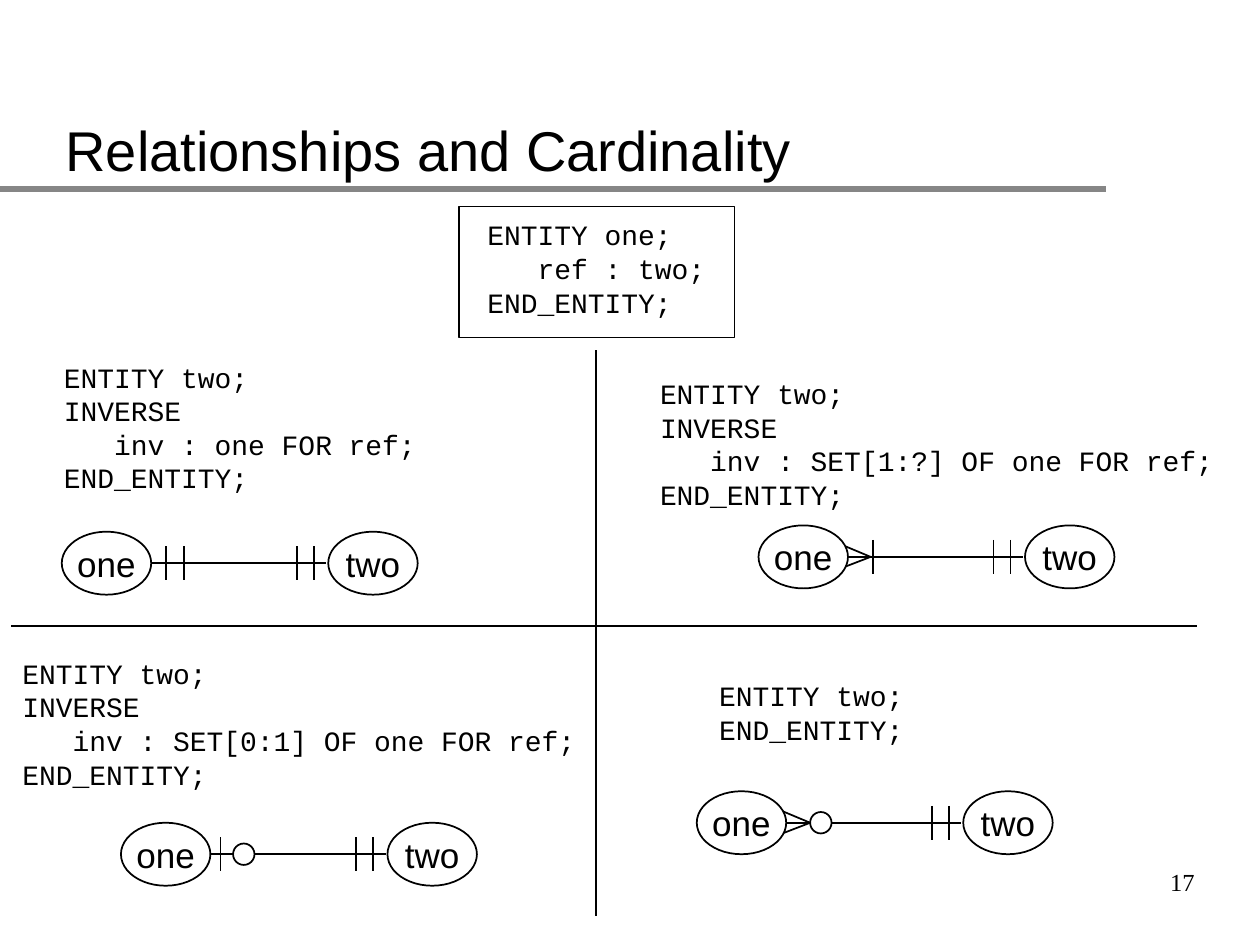
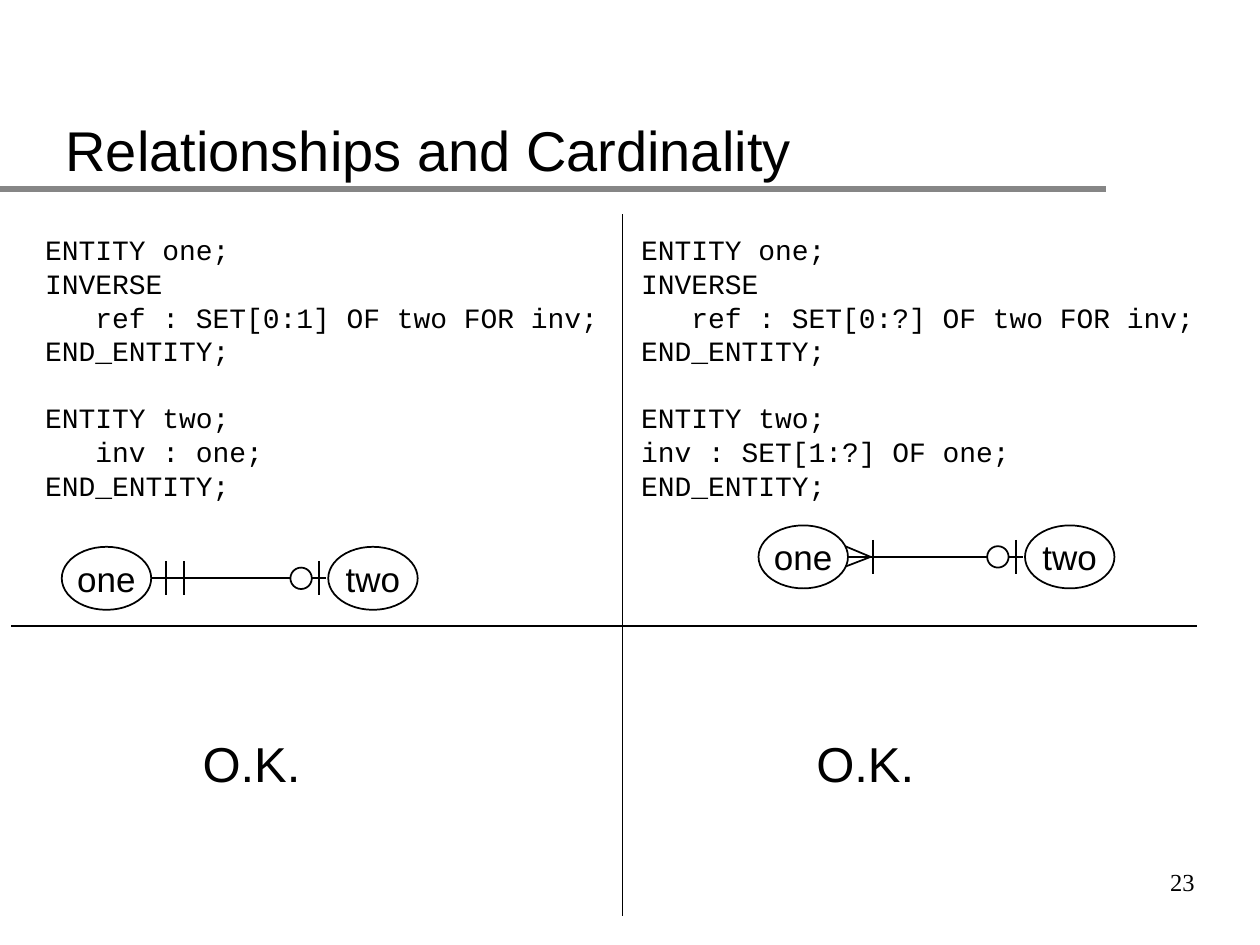
import dataclasses

import lxml.etree
import pptx
import pptx.dml.color
import pptx.enum.shapes
import pptx.enum.text
import pptx.oxml.ns
import pptx.util

Shapes = pptx.enum.shapes.MSO_SHAPE
Align = pptx.enum.text.PP_ALIGN
Anchor = pptx.enum.text.MSO_ANCHOR


@dataclasses.dataclass(frozen=True)
class Theme:
    ink: str = "000000"
    paper: str = "FFFFFF"
    band: str = "868686"
    sans: str = "Arial"
    mono: str = "Courier New"
    serif: str = "Times New Roman"
    title_size: int = 32
    verdict_size: int = 28
    oval_size: int = 20
    code_size: int = 16
    number_size: int = 14
    line_width: int = 1
    band_width: int = 4


# Grid of 100 columns by 75 rows; each cell is a tenth of an inch
COLUMNS, ROWS = 100, 75
CODE_CHARACTER = 1.33
CODE_ROW = 2.67
INSET_X, INSET_Y = 1, 0.5

# Relationship diagram, in grid cells
OVAL_WIDTH, OVAL_HEIGHT = 7.1, 5
OVAL_STEP = 21.15
RING = 1.7
BAR = 2.7

# Cardinality marks: distances outward from the oval's edge
ONE_END = {
    "exactly one": {"bars": [1.2, 2.6]},
    "zero or one": {"bars": [0.8], "ring": 2.65},
    "one or more": {"bars": [2], "foot": 1.8},
    "zero or more": {"ring": 2.75, "foot": 1.9},
}
TWO_END = {
    "exactly one": {"bars": [1.15, 2.5]},
    "zero or one": {"bars": [0.7], "ring": 2.15},
}


class Page:
    """The current slide, its theme and its drawing methods."""

    def __init__(self, deck, theme, title, number):
        self.theme = theme
        self.column = deck.slide_width / COLUMNS
        self.row = deck.slide_height / ROWS
        self.slide = deck.slides.add_slide(deck.slide_layouts[5])
        self.line((0, 15), (87.8, 15), theme.band, theme.band_width)
        self.title(title)
        self.text(number, (75, 67.5, 20.8, 5), theme.serif, theme.number_size,
                  align=Align.RIGHT, anchor=Anchor.MIDDLE)

    def place(self, left, top, width, height):
        return (round(left * self.column), round(top * self.row),
                round(width * self.column), round(height * self.row))

    def style(self, frame, font, size, align=Align.LEFT, anchor=Anchor.TOP, wrap=True):
        frame.word_wrap = wrap
        frame.vertical_anchor = anchor
        for para in frame.paragraphs:
            para.alignment = align
            for span in para.runs:
                span.font.name = font
                span.font.size = pptx.util.Pt(size)
                span.font.color.rgb = self.color(self.theme.ink)

    def color(self, value):
        return pptx.dml.color.RGBColor.from_string(value)

    def title(self, words):
        box = self.slide.shapes.title
        box.left, box.top, box.width, box.height = self.place(4.2, 2.9, 85, 12.1)
        box.text_frame.text = words
        box.text_frame.auto_size = pptx.enum.text.MSO_AUTO_SIZE.NONE
        self.style(box.text_frame, self.theme.sans, self.theme.title_size,
                   anchor=Anchor.BOTTOM)

    def text(self, words, area, font, size, **options):
        box = self.slide.shapes.add_textbox(*self.place(*area))
        box.text_frame.text = words
        self.style(box.text_frame, font, size, **options)
        return box

    def code(self, left, top, *entities):
        """Code lines, with one line's gap between entities."""
        lines = [line for entity in entities for line in entity]
        rows = len(lines) + len(entities) - 1
        area = (left, top,
                max(map(len, lines)) * CODE_CHARACTER + 2 * INSET_X,
                rows * CODE_ROW + 2 * INSET_Y)
        box = self.text("\n".join(lines), area, self.theme.mono,
                        self.theme.code_size, wrap=False)
        first = 0
        for entity in entities[:-1]:
            first += len(entity)
            gap = pptx.util.Pt(1.2 * self.theme.code_size)
            box.text_frame.paragraphs[first].space_before = gap

    def line(self, start, end, color=None, width=None):
        connector = self.slide.shapes.add_connector(
            pptx.enum.shapes.MSO_CONNECTOR.STRAIGHT,
            *self.place(*start, *end))
        connector.line.color.rgb = self.color(color or self.theme.ink)
        connector.line.width = pptx.util.Pt(width or self.theme.line_width)
        properties = connector.element.spPr
        lxml.etree.SubElement(properties, pptx.oxml.ns.qn("a:effectLst"))

    def shape(self, kind, area, words=""):
        box = self.slide.shapes.add_shape(kind, *self.place(*area))
        box.shadow.inherit = False
        box.fill.solid()
        box.fill.fore_color.rgb = self.color(self.theme.paper)
        box.line.color.rgb = self.color(self.theme.ink)
        box.line.width = pptx.util.Pt(self.theme.line_width)
        if words:
            box.text_frame.text = words
            self.style(box.text_frame, self.theme.sans, self.theme.oval_size,
                       align=Align.CENTER, anchor=Anchor.MIDDLE, wrap=False)

    def marks(self, edge, middle, direction, bars=(), ring=None, foot=None):
        """Crow's foot, ring and bars at one end of a relationship."""
        if foot is not None:
            tip = edge + direction * foot
            self.line((tip, middle), (tip - direction * 3.1, middle - 1.3))
            self.line((tip, middle), (tip - direction * 2.6, middle + 1))
        if ring is not None:
            center = edge + direction * ring
            self.shape(Shapes.OVAL, (center - RING / 2, middle - RING / 2, RING, RING))
        for distance in bars:
            bar = edge + direction * distance
            self.line((bar, middle - BAR / 2), (bar, middle + BAR / 2))

    def relationship(self, left, top, one_end, two_end):
        middle = top + OVAL_HEIGHT / 2
        one_edge, two_edge = left + OVAL_WIDTH, left + OVAL_STEP
        self.line((one_edge, middle), (two_edge - 0.15, middle))
        self.marks(one_edge, middle, 1, **ONE_END[one_end])
        self.marks(two_edge, middle, -1, **TWO_END[two_end])
        for oval_left, name in ((left, "one"), (two_edge, "two")):
            self.shape(Shapes.OVAL, (oval_left, top, OVAL_WIDTH, OVAL_HEIGHT), name)

    def quadrants(self, divider, top):
        self.line((divider, top), (divider, 72.7))
        self.line((0.9, 49.7), (95, 49.7))

    def verdict(self, left, words):
        self.text(words, (left, 57.7, 9.8, 5.7), self.theme.sans,
                  self.theme.verdict_size)


def entity(name, *body):
    return [f"ENTITY {name};", *body, "END_ENTITY;"]


def inverse_slide(deck, theme, title):
    page = Page(deck, theme, title, "17")
    page.quadrants(47.3, 27.8)

    # Shared entity in the frame
    page.shape(Shapes.RECTANGLE, (36.4, 16.4, 21.9, 10.4))
    page.code(37.7, 16.8, entity("one", "   ref : two;"))

    # Code of each quadrant
    page.code(4.1, 28.1, entity("two", "INVERSE", "   inv : one FOR ref;"))
    page.code(51.4, 29.4, entity("two", "INVERSE", "   inv : SET[1:?] OF one FOR ref;"))
    page.code(0.8, 51.6, entity("two", "INVERSE", "   inv : SET[0:1] OF one FOR ref;"))
    page.code(56.1, 53.4, entity("two"))

    # Diagram of each quadrant
    page.relationship(4.9, 42.2, "exactly one", "exactly one")
    page.relationship(60.2, 41.7, "one or more", "exactly one")
    page.relationship(9.6, 65.3, "zero or one", "exactly one")
    page.relationship(55.3, 62.8, "zero or more", "exactly one")


def optional_slide(deck, theme, title):
    page = Page(deck, theme, title, "23")
    page.quadrants(49.4, 17)

    # Code on both sides
    page.code(2.6, 18,
              entity("one", "INVERSE", "   ref : SET[0:1] OF two FOR inv;"),
              entity("two", "   inv : one;"))
    page.code(49.9, 18,
              entity("one", "INVERSE", "   ref : SET[0:?] OF two FOR inv;"),
              entity("two", "inv : SET[1:?] OF one;"))

    # Diagrams and verdicts
    page.relationship(4.9, 43.4, "exactly one", "zero or one")
    page.relationship(60.2, 41.7, "one or more", "zero or one")
    for left in (15.1, 63.8):
        page.verdict(left, "O.K.")


def main():
    deck = pptx.Presentation()
    deck.slide_width = pptx.util.Inches(10)
    deck.slide_height = pptx.util.Inches(7.5)
    theme = Theme()
    title = "Relationships and Cardinality"
    inverse_slide(deck, theme, title)
    optional_slide(deck, theme, title)
    deck.save("out.pptx")


if __name__ == "__main__":
    main()
